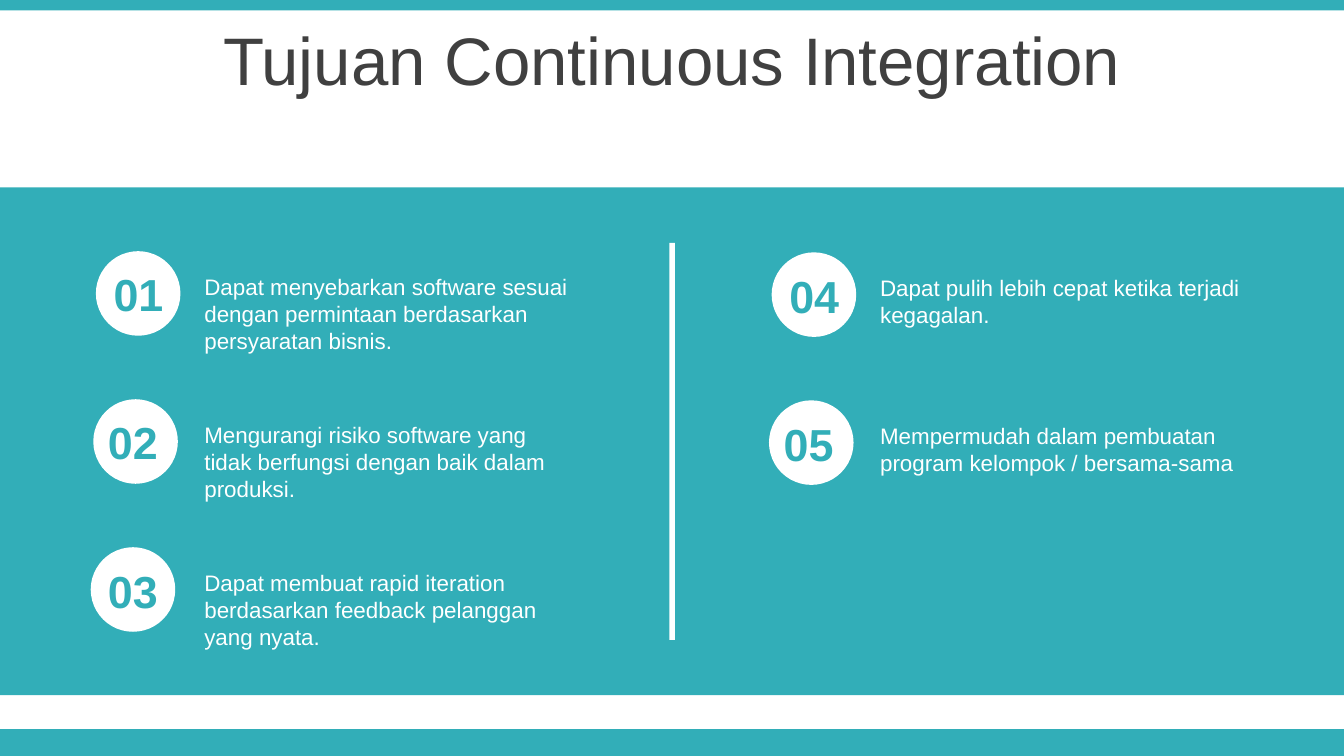
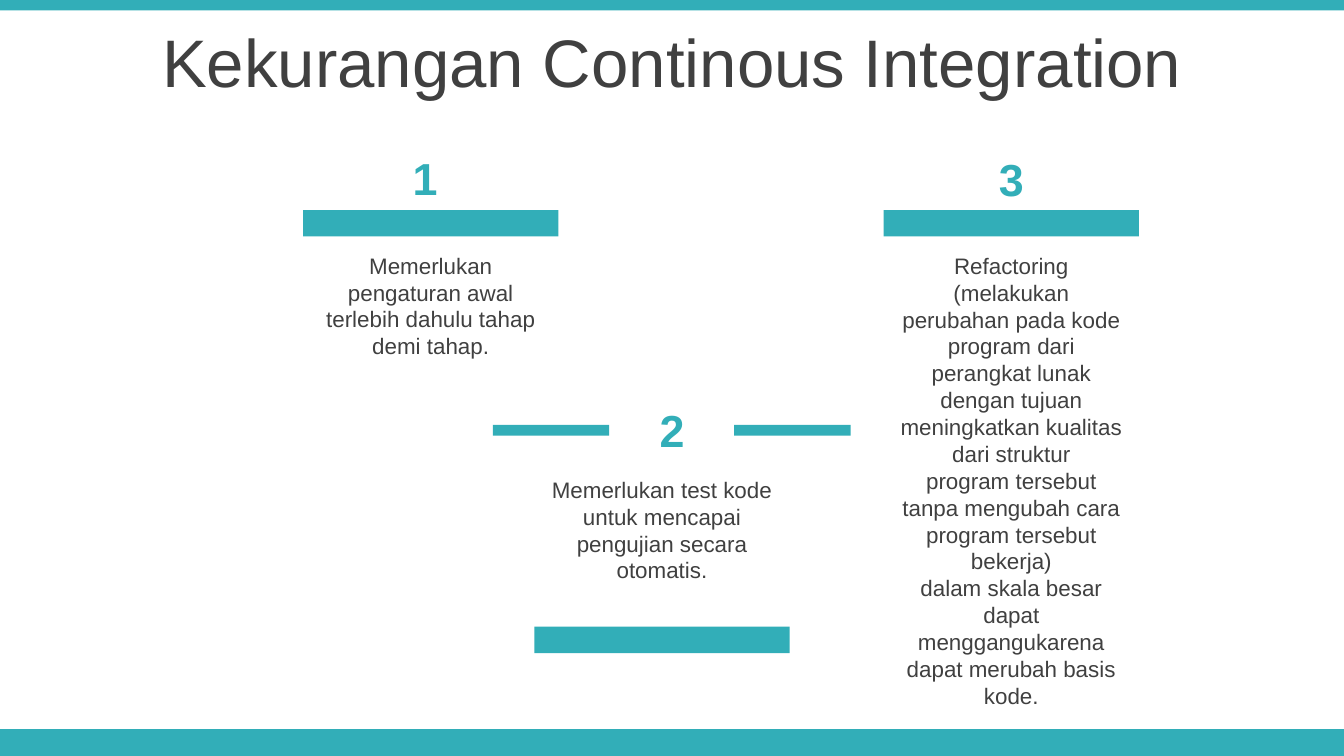
from pptx import Presentation
from pptx.dml.color import RGBColor
from pptx.enum.shapes import MSO_SHAPE
from pptx.enum.text import MSO_ANCHOR, MSO_AUTO_SIZE, PP_ALIGN
from pptx.util import Pt

WIDTH, HEIGHT = 720, 405
TEAL, WHITE, DARK = "32AEB8", "FFFFFF", "404040"

TITLE = {"size": Pt(36), "name": "Arial", "bold": False}
NUMBER = {"size": Pt(24), "name": "Arial", "bold": True}
BODY = {"size": Pt(12), "name": "Arial", "bold": False}

GOALS_LEFT = [
    ["Dapat menyebarkan software sesuai dengan permintaan berdasarkan",
     "persyaratan bisnis."],
    ["Mengurangi risiko software yang tidak berfungsi dengan baik dalam produksi."],
    ["Dapat membuat rapid iteration berdasarkan feedback pelanggan yang nyata."],
]
GOALS_RIGHT = [
    ["Dapat pulih lebih cepat ketika terjadi kegagalan."],
    ["Mempermudah dalam pembuatan program kelompok / bersama-sama"],
]
SETUP = ["Memerlukan pengaturan awal terlebih dahulu tahap demi tahap."]
TESTING = ["Memerlukan test kode untuk mencapai pengujian secara otomatis."]
REFACTORING = [
    "Refactoring (melakukan perubahan pada kode program dari",
    "perangkat lunak dengan tujuan meningkatkan kualitas dari struktur",
    "program tersebut tanpa mengubah cara program tersebut bekerja)",
    "dalam skala besar dapat menggangukarena dapat merubah basis",
    "kode.",
]


def rgb(value):
    return RGBColor.from_string(value)


def points(*values):
    return [Pt(v) for v in values]


def place(sp, box):
    sp.left, sp.top, sp.width, sp.height = points(*box)


def add_block(shapes, box, color, kind=MSO_SHAPE.RECTANGLE):
    """Add a filled shape without outline or shadow."""
    sp = shapes.add_shape(kind, *points(*box))
    sp.shadow.inherit = False
    sp.fill.solid()
    sp.fill.fore_color.rgb = rgb(color)
    sp.line.fill.background()
    return sp


def write(tf, paragraphs, style, color, align):
    for i, text in enumerate(paragraphs):
        p = tf.add_paragraph() if i else tf.paragraphs[0]
        p.alignment = align
        r = p.add_run()
        r.text = text
        for name, value in style.items():
            setattr(r.font, name, value)
        r.font.color.rgb = rgb(color)


def add_text(shapes, box, paragraphs, style, color, align=PP_ALIGN.CENTER):
    tf = shapes.add_textbox(*points(*box)).text_frame
    tf.word_wrap = True
    write(tf, paragraphs, style, color, align)


def set_title(slide, text, top):
    title = slide.shapes.title
    place(title, (0, top, WIDTH, 45))
    tf = title.text_frame
    tf.auto_size = MSO_AUTO_SIZE.NONE
    tf.vertical_anchor = MSO_ANCHOR.MIDDLE
    write(tf, [text], TITLE, DARK, PP_ALIGN.CENTER)
    tf.paragraphs[0].space_before = Pt(5)


def prepare_template(prs, layout):
    """Keep one layout, and only placeholders that fit the slide."""
    for other in list(prs.slide_layouts):
        if other.name != layout.name:
            prs.slide_layouts.remove(other)
    master = prs.slide_master
    for holders, kept in ((master.placeholders, 2), (layout.placeholders, 1)):
        for holder in list(holders)[kept:]:
            holder.element.getparent().remove(holder.element)
    title, body = master.placeholders
    place(title, (0, 10, WIDTH, 45))
    place(body, (36, 90, 648, 280))


def add_bands(layout, slide):
    """Move the top and bottom bands from the slide to its layout."""
    for box in ((0, 390.6, WIDTH, 14.4), (0, 0, WIDTH, 5.6)):
        band = add_block(slide.shapes, box, TEAL)
        band.element.nvSpPr.cNvPr.set("id", str(10 + int(box[1])))
        layout.shapes.element.insert(2, band.element)


def add_goals(slide, left, top, first, goals):
    """Stack numbered goals; the circles drift left going down."""
    shapes = slide.shapes
    number_shifts = (1, -2, -2)
    for i, (goal, shift) in enumerate(zip(goals, number_shifts)):
        y = top + 79.3 * i
        add_block(shapes, (left + 3.4 - 1.4 * i, y, 45.3, 45.3), WHITE, MSO_SHAPE.OVAL)
        add_text(shapes, (left + 54.4, y + 8.3, 209.5, 51), goal, BODY, WHITE,
                 PP_ALIGN.LEFT)
        add_text(shapes, (left + shift, y + 5, 50.4, 36), [f"{first + i:02d}"],
                 NUMBER, TEAL)


def add_card(slide, box, number, number_at, paragraphs, bar_dy):
    """Add a number and a group of text and bar, bar_dy below the text top."""
    left, top, width, height = box
    dx, dy = number_at
    add_text(slide.shapes, (left + dx, top + dy, 72.7, 36), [number], NUMBER, TEAL)
    group = slide.shapes.add_group_shape().shapes
    add_text(group, box, paragraphs, BODY, DARK)
    add_block(group, (left, top + bar_dy, width, 14.2), TEAL)


def build_goals(slide):
    set_title(slide, "Tujuan Continuous Integration", 9)
    add_block(slide.shapes, (0, 100.4, WIDTH, 272), TEAL)
    add_block(slide.shapes, (358.6, 130.2, 3, 212.6), WHITE)
    add_goals(slide, 48, 134.6, 1, GOALS_LEFT)
    add_goals(slide, 410, 135.2, 4, GOALS_RIGHT)


def build_drawbacks(slide):
    set_title(slide, "Kekurangan Continous Integration", 10)
    for left in (264, 393.3):
        add_block(slide.shapes, (left, 227.6, 62.4, 5.8), TEAL)
    add_card(slide, (162.4, 131.4, 136.8, 80), "1", (29, -54.4), SETUP, -18.9)
    add_card(slide, (286.3, 251.4, 136.8, 65.5), "2", (37.4, -39.2), TESTING, 84.3)
    add_card(slide, (473.4, 131.4, 136.8, 254), "3", (32, -53.8), REFACTORING, -18.9)


def main():
    prs = Presentation()
    prs.slide_width, prs.slide_height = points(WIDTH, HEIGHT)
    layout = prs.slide_layouts.get_by_name("Title Only")
    prepare_template(prs, layout)
    goals, drawbacks = [prs.slides.add_slide(layout) for _ in range(2)]
    add_bands(layout, goals)
    build_goals(goals)
    build_drawbacks(drawbacks)
    prs.save("out.pptx")


if __name__ == "__main__":
    main()
